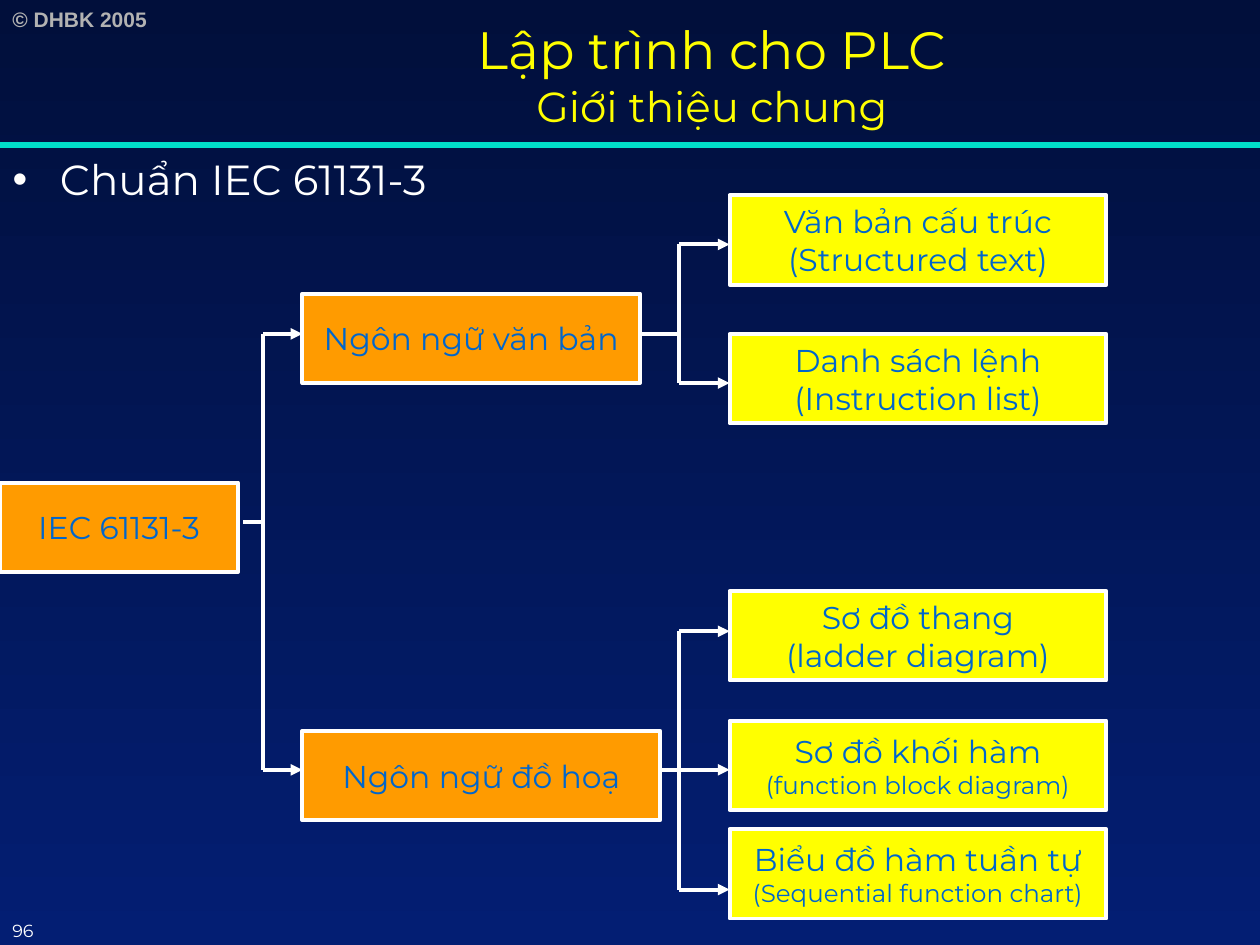
from dataclasses import dataclass

from lxml.etree import SubElement
from pptx import Presentation
from pptx.dml.color import RGBColor
from pptx.enum.shapes import MSO_CONNECTOR as Link, MSO_SHAPE as Preset
from pptx.enum.text import MSO_ANCHOR as Anchor, MSO_AUTO_SIZE as AutoSize, PP_ALIGN as Align
from pptx.oxml.ns import qn
from pptx.util import Inches, Pt

COLUMNS, ROWS = 100, 75
WIDTH, HEIGHT = Inches(10), Inches(7.5)
BOX_ROWS = 7.1
LEAF_COLUMN, LEAF_COLUMNS = 57.9, 29.9
BRANCH_COLUMN = 24
HEADER_ROW = 11.6


@dataclass(frozen=True)
class Theme:
    """Colours, fonts and type sizes of the deck."""
    sky_top: str = "010F3B"
    sky_bottom: str = "031E73"
    rule: str = "00DFCA"
    muted: str = "B2B2B2"
    white: str = "FFFFFF"
    yellow: str = "FFFF00"
    orange: str = "FF9B00"
    label: str = "0066CC"
    main_font: str = "Montserrat"
    mark_font: str = "Arial"
    title: int = 30
    heading: int = 24
    box: int = 18
    detail: int = 14
    mark: int = 12
    number: int = 10
    rule_width: float = 3
    line_width: float = 2.25


THEME = Theme()


def across(columns):
    """Turn grid columns into a length."""
    return round(WIDTH * columns / COLUMNS)


def down(rows):
    """Turn grid rows into a length."""
    return round(HEIGHT * rows / ROWS)


def area(column, row, columns, rows):
    """Return left, top, width and height of a grid area."""
    return across(column), down(row), across(columns), down(rows)


def apply_format(target, values):
    """Set each attribute in a dict of format values."""
    for name, value in values.items():
        setattr(target, name, value)


def add_span(para, text, size, color, font=THEME.main_font, bold=False):
    """Add a formatted run of text to a paragraph."""
    span = para.add_run()
    span.text = text
    apply_format(span.font, {"size": Pt(size), "name": font, "bold": bold})
    span.font.color.rgb = RGBColor.from_string(color)


def place(shape, *cells):
    """Move a placeholder to a grid area."""
    apply_format(shape, dict(zip(("left", "top", "width", "height"), area(*cells))))


def paint_background(page):
    """Fill the page with a vertical gradient."""
    fill = page.background.fill
    fill.gradient()
    fill.gradient_angle = 270
    for stop, position, color in zip(fill.gradient_stops, (0, 1), (THEME.sky_top, THEME.sky_bottom)):
        stop.position = position
        stop.color.rgb = RGBColor.from_string(color)


def fill_title(page, heading, subheading):
    """Write a two-line title in the title placeholder."""
    title = page.shapes.title
    place(title, 13, 0, 87, 11.7)
    apply_format(title.text_frame, {"vertical_anchor": Anchor.MIDDLE, "auto_size": AutoSize.NONE,
                                    "word_wrap": True})
    para = title.text_frame.paragraphs[0]
    para.alignment = Align.CENTER
    add_span(para, heading, THEME.title, THEME.yellow)
    para.add_line_break()
    line_break = para._p.find(qn("a:br"))
    SubElement(line_break, qn("a:rPr"), sz=str(THEME.title * 100))
    add_span(para, subheading, THEME.heading, THEME.yellow)


def fill_body(page, text):
    """Write one bullet in the body placeholder."""
    body = page.placeholders[1]
    place(body, 0, 11.7, 100, 63.3)
    apply_format(body.text_frame, {"auto_size": AutoSize.NONE, "word_wrap": True})
    para = body.text_frame.paragraphs[0]
    para.space_before = Pt(0)
    add_span(para, text, THEME.heading, THEME.white)


def add_note(page, cells, text, size, color, **style):
    """Add a small line of text."""
    note = page.shapes.add_textbox(*area(*cells))
    note.text_frame.word_wrap = True
    add_span(note.text_frame.paragraphs[0], text, size, color, **style)


def add_box(page, column, row, columns, fill, lines):
    """Add an outlined box with centred lines of (text, size)."""
    box = page.shapes.add_shape(Preset.RECTANGLE, *area(column, row, columns, BOX_ROWS))
    box.shadow.inherit = False
    box.fill.solid()
    box.fill.fore_color.rgb = RGBColor.from_string(fill)
    box.line.width = Pt(THEME.line_width)
    box.line.color.rgb = RGBColor.from_string(THEME.white)
    frame = box.text_frame
    apply_format(frame, {"vertical_anchor": Anchor.MIDDLE, "word_wrap": False})
    for index, (text, size) in enumerate(lines):
        para = frame.add_paragraph() if index else frame.paragraphs[0]
        para.alignment = Align.CENTER
        add_span(para, text, size, THEME.label)


def add_line(page, start, end, color=THEME.white, width=THEME.line_width, arrow=False):
    """Add a straight line between two grid points."""
    line = page.shapes.add_connector(Link.STRAIGHT, across(start[0]), down(start[1]),
                                     across(end[0]), down(end[1]))
    line.line.width = Pt(width)
    line.line.color.rgb = RGBColor.from_string(color)
    if arrow:
        SubElement(line.line._get_or_add_ln(), qn("a:tailEnd"), type="triangle")
    SubElement(line._element.spPr, qn("a:effectLst"))


def add_fork(page, stem, trunk, tip, root, rows):
    """Add a stem, a trunk and one arrow for each row."""
    add_line(page, (trunk, min(rows)), (trunk, max(rows)))
    add_line(page, (stem, root), (trunk, root))
    for row in rows:
        add_line(page, (trunk, row), (tip, row), arrow=True)


def main():
    """Build the slide and save it."""
    deck = Presentation()
    apply_format(deck, {"slide_width": WIDTH, "slide_height": HEIGHT})
    page = deck.slides.add_slide(deck.slide_layouts[1])
    paint_background(page)
    add_note(page, (0, 0, 14.5, 3), "© DHBK 2005", THEME.mark, THEME.muted,
             font=THEME.mark_font, bold=True)
    add_line(page, (0, 11.5), (COLUMNS, 11.5), THEME.rule, THEME.rule_width)
    fill_title(page, "Lập trình cho PLC", "Giới thiệu chung")
    fill_body(page, "Chuẩn IEC 61131-3")

    branches = (
        (0, 38.3, 18.9, "IEC 61131-3"),
        (BRANCH_COLUMN, 23.3, 26.8, "Ngôn ngữ văn bản"),
        (BRANCH_COLUMN, 58, 28.4, "Ngôn ngữ đồ hoạ"),
    )
    for column, row, columns, text in branches:
        add_box(page, column, row, columns, THEME.orange, [(text, THEME.box)])

    leaves = (
        (15.5, "Văn bản cấu trúc", "(Structured text)", THEME.box),
        (26.5, "Danh sách lệnh", "(Instruction list)", THEME.box),
        (46.9, "Sơ đồ thang", "(ladder diagram)", THEME.box),
        (57.2, "Sơ đồ khối hàm", "(function block diagram)", THEME.detail),
        (65.8, "Biểu đồ hàm tuần tự", "(Sequential function chart)", THEME.detail),
    )
    for row, name, detail, size in leaves:
        add_box(page, LEAF_COLUMN, row, LEAF_COLUMNS, THEME.yellow,
                [(name, THEME.box), (detail, size)])

    add_fork(page, 19.3, 20.9, BRANCH_COLUMN, 41.4, (26.5, 61.1))
    add_fork(page, 50.8, 53.9, LEAF_COLUMN, 26.5, (19.4, 30.4))
    add_fork(page, 52.4, 53.9, LEAF_COLUMN, 61.1, (50.1, 61.1, 70.6))
    add_note(page, (0, 72.5, 6.7, 2.5), "96", THEME.number, THEME.white)
    deck.save("out.pptx")


if __name__ == "__main__":
    main()
